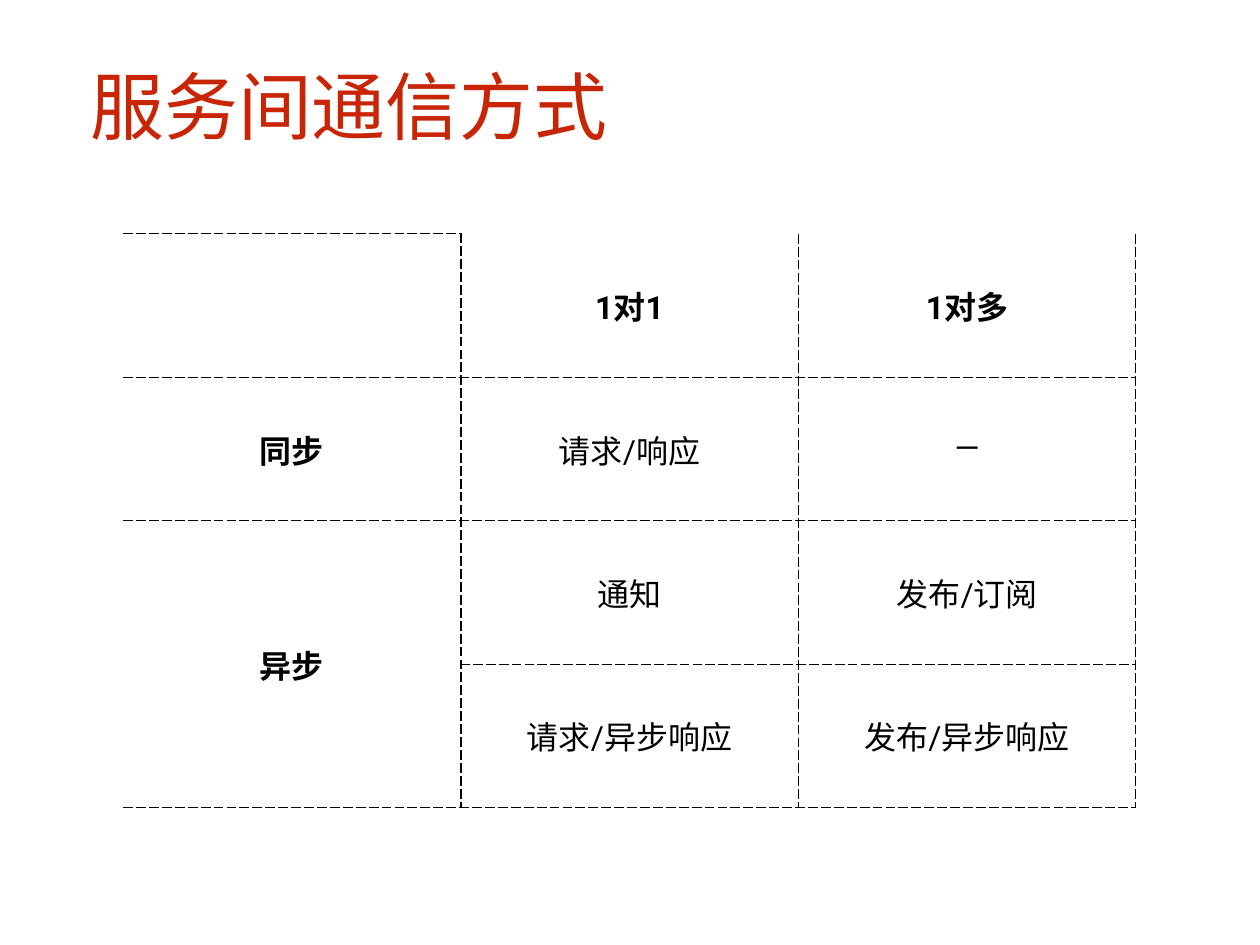
from dataclasses import dataclass

from lxml.etree import SubElement
from pptx import Presentation
from pptx.dml.color import RGBColor
from pptx.enum.text import MSO_ANCHOR, MSO_AUTO_SIZE, PP_ALIGN
from pptx.oxml.ns import qn
from pptx.table import Table, _Cell
from pptx.text.text import TextFrame
from pptx.util import Inches, Pt


@dataclass(frozen=True)
class Theme:
    red: str = "C82506"
    ink: str = "000000"
    head: str = "Calibri"
    body: str = "Roboto"
    big: int = 60
    small: int = 26
    thin: float = 1
    thick: float = 1.5
    pad: float = 0.06


@dataclass(frozen=True)
class Entry:
    row: int
    col: int
    text: str
    bold: bool = False
    span: int = 1


THEME = Theme()
ROWS, COLS = 4, 3
WIDE, HIGH = 3.81, 1.62
ENTRIES = [
    Entry(0, 1, "1对1", bold=True),
    Entry(0, 2, "1对多", bold=True),
    Entry(1, 0, "同步", bold=True),
    Entry(1, 1, "请求/响应"),
    Entry(1, 2, "—"),
    Entry(2, 0, "异步", bold=True, span=2),
    Entry(2, 1, "通知"),
    Entry(2, 2, "发布/订阅"),
    Entry(3, 1, "请求/异步响应"),
    Entry(3, 2, "发布/异步响应"),
]


def write(frame: TextFrame, text: str, *, font: str, size: float, color: str,
          bold: bool = False, align: PP_ALIGN = PP_ALIGN.LEFT) -> None:
    para = frame.paragraphs[0]
    para.alignment = align
    run = para.add_run()
    run.text = text
    run.font.name = font
    run.font.size = Pt(size)
    run.font.bold = bold
    run.font.color.rgb = RGBColor.from_string(color)


def pad(box: TextFrame | _Cell) -> None:
    box.margin_left = box.margin_right = Inches(THEME.pad)
    box.margin_top = box.margin_bottom = Inches(THEME.pad)
    box.vertical_anchor = MSO_ANCHOR.MIDDLE


def edge(cell: _Cell, side: str, width: float) -> None:
    """Draw one dashed cell border; a zero width hides it."""
    props = cell._tc.get_or_add_tcPr()
    line = SubElement(props, qn(f"a:ln{side}"), w=str(Pt(width)))
    if not width:
        SubElement(line, qn("a:noFill"))
        return
    fill = SubElement(line, qn("a:solidFill"))
    SubElement(fill, qn("a:srgbClr"), val=THEME.ink)
    SubElement(line, qn("a:prstDash"), val="dash")


def rule(cell: _Cell, row: int, col: int) -> None:
    """Leave the table open at its left and above the column heads."""
    top = (row > 0 or col == 0) and not cell.is_spanned
    edge(cell, "L", (0, THEME.thick, THEME.thin)[col])
    edge(cell, "R", THEME.thick if col == 0 else THEME.thin)
    edge(cell, "T", THEME.thin if top else 0)
    edge(cell, "B", THEME.thin)


def fill_in(table: Table) -> None:
    for item in ENTRIES:
        cell = table.cell(item.row, item.col)
        if item.span > 1:
            cell.merge(table.cell(item.row + item.span - 1, item.col))
        write(cell.text_frame, item.text, font=THEME.body, size=THEME.small,
              color=THEME.ink, bold=item.bold, align=PP_ALIGN.CENTER)
    for row in range(ROWS):
        for col in range(COLS):
            cell = table.cell(row, col)
            pad(cell)
            rule(cell, row, col)
            cell.fill.background()


def main() -> None:
    deck = Presentation()
    deck.slide_width, deck.slide_height = Inches(14.22), Inches(10.67)
    slide = deck.slides.add_slide(deck.slide_layouts[5])

    title = slide.shapes.title
    title.left, title.top = Inches(0.96), Inches(0.55)
    title.width, title.height = Inches(5.96), Inches(1.28)
    frame = title.text_frame
    pad(frame)
    frame.word_wrap = False
    frame.auto_size = MSO_AUTO_SIZE.SHAPE_TO_FIT_TEXT
    write(frame, "服务间通信方式", font=THEME.head, size=THEME.big,
          color=THEME.red)

    table = slide.shapes.add_table(
        ROWS, COLS, Inches(1.39), Inches(2.64),
        Inches(WIDE * COLS), Inches(HIGH * ROWS)).table
    table.first_row = table.horz_banding = False
    fill_in(table)
    deck.save("out.pptx")


if __name__ == "__main__":
    main()
